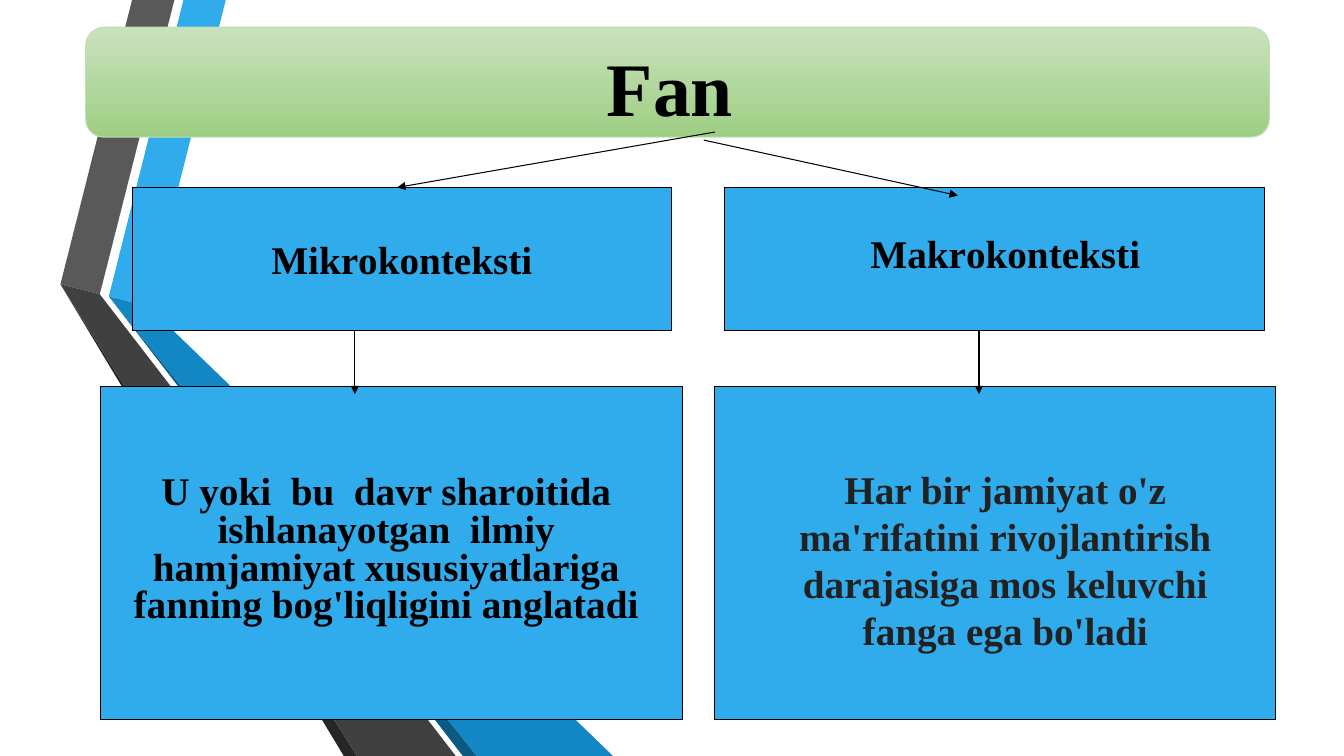
from lxml.etree import SubElement
from pptx import Presentation
from pptx.dml.color import RGBColor
from pptx.enum.shapes import MSO_CONNECTOR, MSO_SHAPE
from pptx.enum.text import MSO_ANCHOR, PP_ALIGN
from pptx.oxml.ns import qn
from pptx.util import Pt

PX = 9144
FONT = "Times New Roman"
BLACK = RGBColor(0x00, 0x00, 0x00)
INK = RGBColor(0x21, 0x21, 0x21)
SKY = RGBColor(0x30, 0xAC, 0xEC)
BLUE = RGBColor(0x12, 0x87, 0xC3)
NAVY = RGBColor(0x0C, 0x5A, 0x82)
GRAY = RGBColor(0x59, 0x59, 0x59)
DARK = RGBColor(0x40, 0x40, 0x40)
COAL = RGBColor(0x26, 0x26, 0x26)
PALE = RGBColor(0xC9, 0xE2, 0xBE)
GREEN = RGBColor(0x9E, 0xCE, 0x83)
EDGE = RGBColor(0xC0, 0xDE, 0xB3)

BANDS = [
    (SKY, [(48, 294), (87, 304), (164, 0), (122, 0)]),
    (GRAY, [(39, 292), (113, 0), (71, 0), (0, 282)]),
    (COAL, [(0, 282), (281, 750), (294, 750)]),
    (NAVY, [(413, 750), (48, 294), (399, 750)]),
    (BLUE, [(48, 294), (413, 750), (548, 750), (87, 304)]),
    (DARK, [(392, 750), (46, 301), (39, 292), (0, 282), (294, 750)]),
]

COLUMNS = [
    dict(
        box=(100, 186, 577, 528), indent=31, stem=252,
        title="Mikrоkоntеksti", title_box=(31, 0, 535, 142),
        title_anchor=MSO_ANCHOR.MIDDLE,
        text="U yoki  bu  dаvr shаrоitidа ishlаnаyotgаn  ilmiy "
             "hаmjаmiyat хususiyatlаrigа fаnning bоg'liqligini аnglаtаdi",
        text_box=(10, 281, 546, 160), text_anchor=MSO_ANCHOR.TOP,
        color=BLACK, spacing=0.8,
    ),
    dict(
        box=(709, 186, 556, 528), indent=10, stem=262,
        title="Mаkrоkоntеksti", title_box=(52, 24, 472, 69),
        title_anchor=MSO_ANCHOR.BOTTOM,
        text="Hаr bir jаmiyat o'z mа'rifаtini rivоjlаntirish "
             "dаrаjаsigа mоs kеluvchi fаngа egа bo'lаdi",
        text_box=(52, 205, 472, 328), text_anchor=MSO_ANCHOR.MIDDLE,
        color=INK, spacing=1.0,
    ),
]


def scale(*sizes):
    return [size * PX for size in sizes]


def panel(slide, kind, *box):
    shape = slide.shapes.add_shape(kind, *scale(*box))
    shape.shadow.inherit = False
    shape.fill.solid()
    shape.fill.fore_color.rgb = SKY
    shape.line.color.rgb = BLACK
    shape.line.width = Pt(0.75)
    return shape


def label(slide, box, text, size=28, color=BLACK, anchor=MSO_ANCHOR.TOP,
          spacing=1.0, wrap=True):
    frame = slide.shapes.add_textbox(*scale(*box)).text_frame
    frame.word_wrap = wrap
    frame.vertical_anchor = anchor
    line = frame.paragraphs[0]
    line.text = text
    line.alignment = PP_ALIGN.CENTER
    line.line_spacing = spacing
    line.font.name = FONT
    line.font.size = Pt(size)
    line.font.bold = True
    line.font.color.rgb = color


def arrow(slide, *ends):
    link = slide.shapes.add_connector(MSO_CONNECTOR.STRAIGHT, *scale(*ends))
    link.line.color.rgb = BLACK
    link.line.width = Pt(0.75)
    SubElement(link.line._get_or_add_ln(), qn("a:tailEnd"), type="triangle")
    SubElement(link._element.spPr, qn("a:effectLst"))


def ribbon(slide, left, top):
    for color, points in BANDS:
        (x, y), *rest = [(left + x, top + y) for x, y in points]
        pen = slide.shapes.build_freeform(x, y, scale=PX)
        pen.add_line_segments(rest, close=True)
        band = pen.convert_to_shape()
        band.shadow.inherit = False
        band.fill.solid()
        band.fill.fore_color.rgb = color
        band.line.fill.background()


def banner(slide, left, top, width, height):
    bar = panel(slide, MSO_SHAPE.ROUNDED_RECTANGLE, left, top, width, height)
    bar.line.color.rgb = EDGE
    bar.fill.gradient()
    bar.fill.gradient_angle = 270
    for stop, color in zip(bar.fill.gradient_stops, (PALE, GREEN)):
        stop.color.rgb = color
    label(slide, (left + 497, top + 9, 165, 101), "Fаn", 54, wrap=False)
    arrow(slide, left + 624, top + 104, left + 309, top + 159)
    arrow(slide, left + 613, top + 112, left + 865, top + 167)


def column(slide, part):
    left, top, width, height = part["box"]

    def inner(box):
        x, y, *size = box
        return left + x, top + y, *size

    panel(slide, MSO_SHAPE.RECTANGLE, left + part["indent"], top, 535, 142)
    panel(slide, MSO_SHAPE.RECTANGLE, left, top + 197, width, height - 197)
    label(slide, inner(part["title_box"]), part["title"],
          anchor=part["title_anchor"])
    label(slide, inner(part["text_box"]), part["text"], color=part["color"],
          anchor=part["text_anchor"], spacing=part["spacing"])
    stem = left + part["stem"]
    arrow(slide, stem, top + 142, stem, top + 205)


def main():
    deck = Presentation()
    deck.slide_width, deck.slide_height = scale(1333, 750)
    slide = deck.slides.add_slide(deck.slide_layouts[6])
    ribbon(slide, 60, 0)
    for part in COLUMNS:
        column(slide, part)
    banner(slide, 85, 27, 1174, 109)
    deck.save("out.pptx")


if __name__ == "__main__":
    main()
